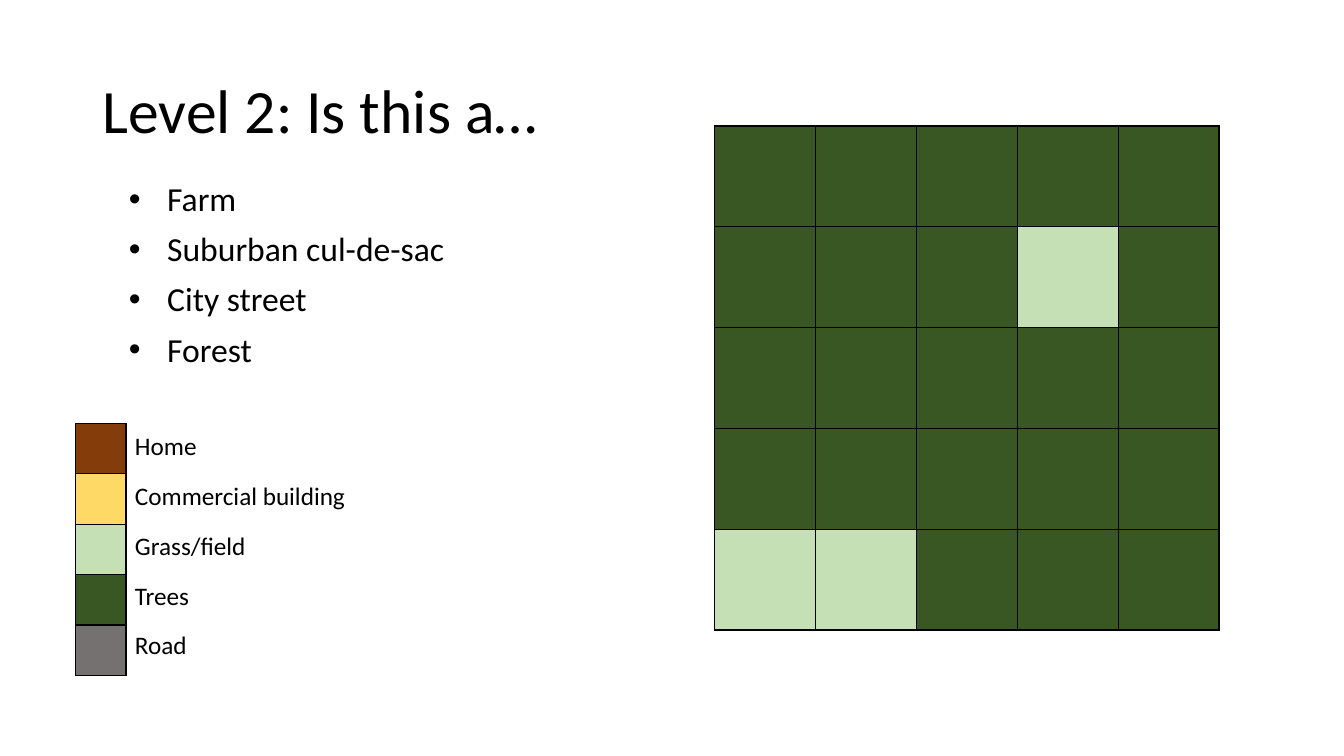
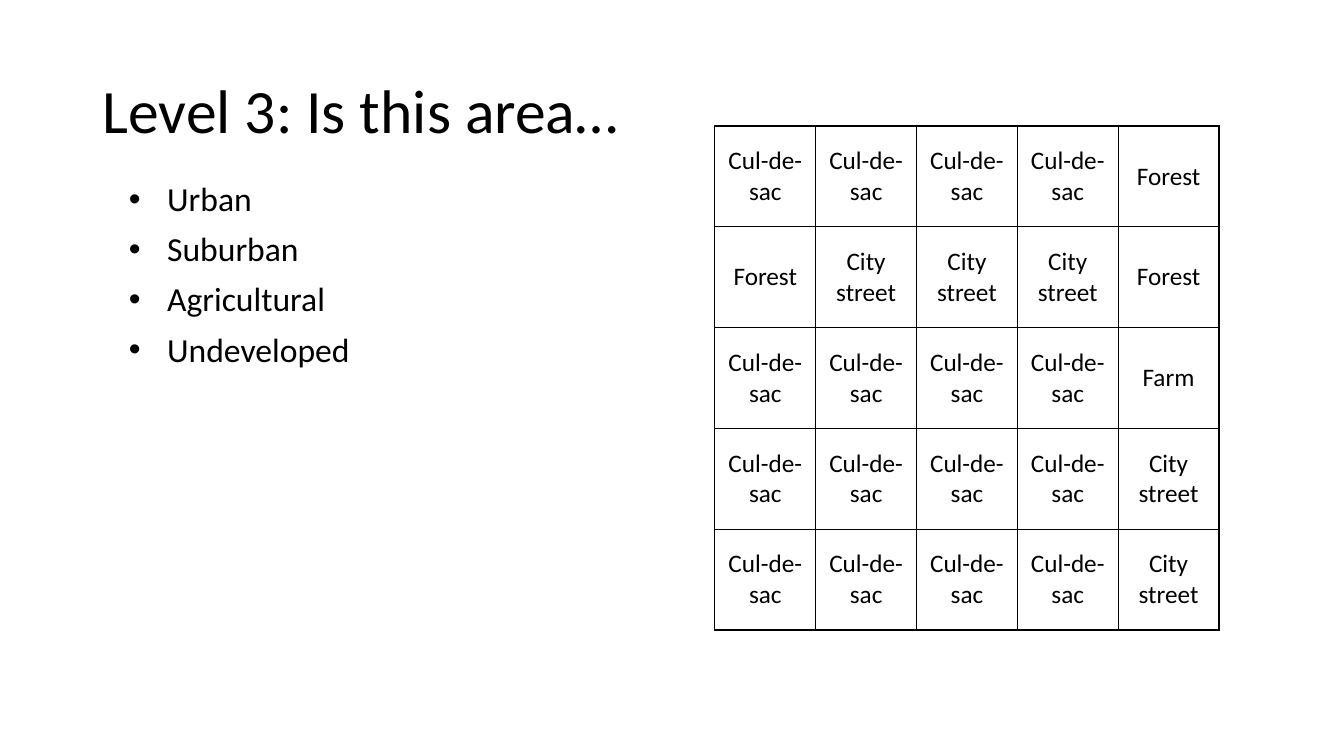
from dataclasses import dataclass

from lxml.etree import SubElement
from pptx import Presentation
from pptx.dml.color import RGBColor
from pptx.enum.text import MSO_ANCHOR, MSO_AUTO_SIZE, PP_ALIGN
from pptx.oxml.ns import qn
from pptx.util import Inches, Pt


@dataclass(frozen=True)
class Theme:
    """Colours, font and type sizes shared by the slides."""
    font: str = "Calibri"
    ink: str = "000000"
    home: str = "843C0B"
    shop: str = "FFD966"
    grass: str = "C5E0B4"
    trees: str = "385723"
    road: str = "767171"
    title: int = 44
    body: int = 24
    label: int = 18


THEME = Theme()
LEGEND = {
    "Home": THEME.home,
    "Commercial building": THEME.shop,
    "Grass/field": THEME.grass,
    "Trees": THEME.trees,
    "Road": THEME.road,
}
TITLE = {"line_spacing": 0.9}
BULLET = {"line_spacing": 0.9, "space_before": Pt(10)}
LABEL = {"space_after": Pt(14)}
CENTRED = {"alignment": PP_ALIGN.CENTER}


def apply(target, values):
    """Set each attribute named in a dict of format values."""
    for name, value in values.items():
        setattr(target, name, value)


def write(para, text, size, values):
    """Put one styled run in a paragraph."""
    run = para.add_run()
    run.text = text
    apply(run.font, {"name": THEME.font, "size": Pt(size)})
    run.font.color.rgb = RGBColor.from_string(THEME.ink)
    apply(para, values)


def add_text(slide, place, lines, size, values, frame):
    """Add a text box with one paragraph per line and return its paragraphs."""
    box = slide.shapes.add_textbox(*map(Inches, place)).text_frame
    apply(box, {"word_wrap": True, **frame})
    for index, line in enumerate(lines):
        para = box.add_paragraph() if index else box.paragraphs[0]
        write(para, line, size, values)
    return box.paragraphs


def add_bullet(para):
    """Give a paragraph a round bullet and a hanging indent."""
    props = para._p.get_or_add_pPr()
    indent = Inches(0.38)
    props.set("marL", str(indent))
    props.set("indent", str(-indent))
    SubElement(props, qn("a:buFont"), typeface="Arial")
    SubElement(props, qn("a:buChar"), char="•")


def add_border(cell):
    """Draw a thin line on all four sides of a cell."""
    props = cell._tc.get_or_add_tcPr()
    for side in ("lnL", "lnR", "lnT", "lnB"):
        line = SubElement(props, qn(f"a:{side}"), w=str(Pt(1)))
        fill = SubElement(line, qn("a:solidFill"))
        SubElement(fill, qn("a:srgbClr"), val=THEME.ink)


def add_grid(slide, left, top, side, rows, paint):
    """Add a table of square cells, each finished by the paint function."""
    count = len(rows[0])
    size = [Inches(side * number) for number in (count, len(rows))]
    table = slide.shapes.add_table(
        len(rows), count, Inches(left), Inches(top), *size).table
    apply(table, {"first_row": False, "horz_banding": False})
    for line in (*table.columns, *table.rows):
        apply(line, {"width" if line in table.columns else "height": Inches(side)})
    for row, values in enumerate(rows):
        for col, value in enumerate(values):
            cell = table.cell(row, col)
            add_border(cell)
            paint(cell, value)


def paint_colour(cell, colour):
    """Fill a cell with a solid colour."""
    cell.fill.solid()
    cell.fill.fore_color.rgb = RGBColor.from_string(colour)


def paint_name(cell, name):
    """Centre a place name in an unfilled cell."""
    cell.fill.background()
    cell.vertical_anchor = MSO_ANCHOR.MIDDLE
    write(cell.text_frame.paragraphs[0], name, THEME.label, CENTRED)


def add_legend(slide):
    """Add the colour key and its labels."""
    add_grid(slide, 0.75, 4.2, 0.5, [[colour] for colour in LEGEND.values()],
             paint_colour)
    add_text(slide, (1.24, 4.22, 2.31, 2.46), LEGEND, THEME.label, LABEL,
             {"word_wrap": False, "auto_size": MSO_AUTO_SIZE.SHAPE_TO_FIT_TEXT})


def add_level(deck, title, options, rows, paint):
    """Add a slide with a map, a question and its options."""
    slide = deck.slides.add_slide(deck.slide_layouts[6])
    add_grid(slide, 7.09, 1.25, 1, rows, paint)
    add_text(slide, (0.92, 0.4, 11.5, 1.45), [title], THEME.title, TITLE,
             {"vertical_anchor": MSO_ANCHOR.MIDDLE})
    for para in add_text(slide, (1.18, 1.76, 4.14, 2.28), options,
                         THEME.body, BULLET, {}):
        add_bullet(para)
    return slide


def main():
    """Build and save the two levels."""
    deck = Presentation()
    apply(deck, {"slide_width": Inches(13.33), "slide_height": Inches(7.5)})

    fields = {(1, 3), (4, 0), (4, 1)}
    land = [[THEME.grass if (row, col) in fields else THEME.trees
             for col in range(5)] for row in range(5)]
    slide = add_level(deck, "Level 2: Is this a…",
                      ["Farm", "Suburban cul-de-sac", "City street", "Forest"],
                      land, paint_colour)
    add_legend(slide)

    sac, street, forest, farm = "Cul-de-sac", "City street", "Forest", "Farm"
    area = [
        [sac] * 4 + [forest],
        [forest] + [street] * 3 + [forest],
        [sac] * 4 + [farm],
        [sac] * 4 + [street],
        [sac] * 4 + [street],
    ]
    add_level(deck, "Level 3: Is this area…",
              ["Urban", "Suburban", "Agricultural", "Undeveloped"],
              area, paint_name)
    deck.save("out.pptx")


if __name__ == "__main__":
    main()
